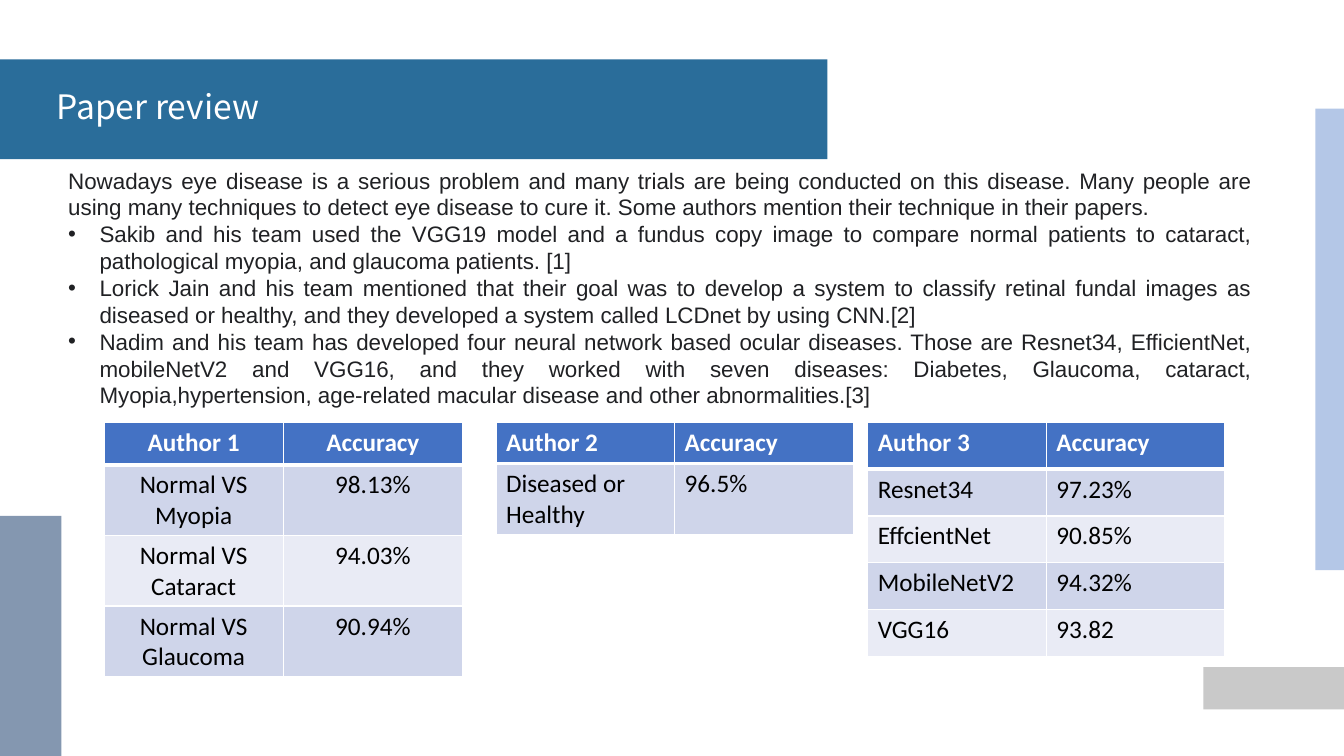
from dataclasses import dataclass

from lxml.etree import SubElement
from pptx import Presentation
from pptx.dml.color import RGBColor
from pptx.enum.shapes import MSO_SHAPE as Shape
from pptx.enum.text import MSO_ANCHOR as Anchor, PP_ALIGN as Align
from pptx.oxml.ns import qn
from pptx.util import Cm, Pt


@dataclass(frozen=True)
class Theme:
    banner: str = "2A6D9A"
    grey: str = "C9C9C9"
    light_blue: str = "B4C7E7"
    slate: str = "8497B0"
    white: str = "FFFFFF"
    black: str = "000000"
    ink: str = "202124"
    header: str = "4472C4"
    bands: tuple = ("CFD5EA", "E9EBF5")
    title_font: str = "Noto Sans CJK JP"
    body_font: str = "Arial"
    table_font: str = "Calibri"
    title_size: int = 24
    body_size: int = 16
    table_size: int = 18


def write(para, text, *, font, size, color, bold=False, align=Align.LEFT):
    para.alignment = align
    span = para.add_run()
    span.text = text
    span.font.name = font
    span.font.size = Pt(size)
    span.font.bold = bold
    span.font.color.rgb = RGBColor.from_string(color)


def add_bullet(para, indent):
    properties = para._p.get_or_add_pPr()
    properties.set("marL", str(Cm(indent)))
    properties.set("indent", str(-Cm(indent)))
    SubElement(properties, qn("a:buFont"), typeface="Arial")
    SubElement(properties, qn("a:buChar"), char="•")


def add_borders(cell, color, **widths):
    properties = cell._tc.get_or_add_tcPr()
    for side in "LRTB":
        line = SubElement(properties, qn(f"a:ln{side}"), w=str(Pt(widths.get(side, 1))))
        fill = SubElement(line, qn("a:solidFill"))
        SubElement(fill, qn("a:srgbClr"), val=color)


class SlideBuilder:
    def __init__(self, deck, theme):
        self.theme = theme
        self.page = deck.slides.add_slide(deck.slide_layouts[5])

    def block(self, left, top, width, height, color):
        box = self.page.shapes.add_shape(
            Shape.RECTANGLE, Cm(left), Cm(top), Cm(width), Cm(height))
        box.shadow.inherit = False
        box.fill.solid()
        box.fill.fore_color.rgb = RGBColor.from_string(color)
        box.line.fill.background()

    def title(self, text, left, top, width, height):
        box = self.page.shapes.title
        box.left, box.top, box.width, box.height = map(Cm, (left, top, width, height))
        tree = self.page.shapes._spTree
        tree.remove(box._element)
        tree.append(box._element)
        frame = box.text_frame
        frame.word_wrap = True
        frame.vertical_anchor = Anchor.TOP
        theme = self.theme
        write(frame.paragraphs[0], text, font=theme.title_font,
              size=theme.title_size, color=theme.white)

    def body(self, intro, points, left, top, width, height, inset):
        box = self.page.shapes.add_textbox(Cm(left), Cm(top), Cm(width), Cm(height))
        frame = box.text_frame
        frame.word_wrap = True
        frame.margin_top = Cm(inset)
        theme = self.theme
        style = dict(font=theme.body_font, size=theme.body_size,
                     color=theme.ink, align=Align.JUSTIFY)
        write(frame.paragraphs[0], intro, **style)
        for point in points:
            para = frame.add_paragraph()
            write(para, point, **style)
            add_bullet(para, 0.79)

    def table(self, rows, left, top, column_width, header_height, row_height,
              align=Align.LEFT):
        heights = [header_height] + [row_height] * (len(rows) - 1)
        columns = len(rows[0])
        grid = self.page.shapes.add_table(
            len(rows), columns, Cm(left), Cm(top),
            Cm(column_width * columns), Cm(sum(heights))).table
        theme = self.theme
        for column in grid.columns:
            column.width = Cm(column_width)
        for row_index, values in enumerate(rows):
            grid.rows[row_index].height = Cm(heights[row_index])
            is_header = row_index == 0
            fill = theme.header if is_header else theme.bands[(row_index - 1) % 2]
            for column_index, value in enumerate(values):
                cell = grid.cell(row_index, column_index)
                add_borders(cell, theme.white, B=3 if is_header else 1,
                            T=3 if row_index == 1 else 1)
                cell.fill.solid()
                cell.fill.fore_color.rgb = RGBColor.from_string(fill)
                write(cell.text_frame.paragraphs[0], value, font=theme.table_font,
                      size=theme.table_size, bold=is_header, align=align,
                      color=theme.white if is_header else theme.black)


INTRO = (
    "Nowadays eye disease is a serious problem and many trials are being conducted "
    "on this disease. Many people are using many techniques to detect eye disease "
    "to cure it. Some authors mention their technique in their papers."
)
POINTS = [
    "Sakib and his team used the VGG19 model and a fundus copy image to compare "
    "normal patients to cataract, pathological myopia, and glaucoma patients. [1]",
    "Lorick Jain and his team mentioned that their goal was to develop a system to "
    "classify retinal fundal images as diseased or healthy, and they developed a "
    "system called LCDnet by using CNN.[2]",
    "Nadim and his team has developed four neural network based ocular diseases. "
    "Those are Resnet34, EfficientNet, mobileNetV2 and VGG16, and they worked with "
    "seven diseases: Diabetes, Glaucoma, cataract, Myopia,hypertension, age-related "
    "macular disease and other abnormalities.[3]",
]
FIRST_AUTHOR = [
    ("Author 1", "Accuracy"),
    ("Normal VS Myopia", "98.13%"),
    ("Normal VS Cataract", "94.03%"),
    ("Normal VS Glaucoma", "90.94%"),
]
SECOND_AUTHOR = [("Author 2", "Accuracy"), ("Diseased or Healthy", "96.5%")]
THIRD_AUTHOR = [
    ("Author 3", "Accuracy"),
    ("Resnet34", "97.23%"),
    ("EffcientNet", "90.85%"),
    ("MobileNetV2", "94.32%"),
    ("VGG16", "93.82"),
]
TABLE_TOP = 10.64


def main():
    deck = Presentation()
    deck.slide_width, deck.slide_height = Cm(33.87), Cm(19.05)
    theme = Theme()
    slide = SlideBuilder(deck, theme)
    slide.block(0, 1.5, 20.85, 2.51, theme.banner)
    slide.block(30.33, 16.81, 3.54, 1.07, theme.grey)
    slide.block(33.15, 2.74, 0.72, 11.63, theme.light_blue)
    slide.block(0, 13, 1.55, 6.05, theme.slate)
    slide.title("Paper review", 1.17, 2.03, 15.09, 3.58)
    slide.body(INTRO, POINTS, 1.47, 3.3, 30.33, 7.26, inset=0.9)
    slide.table(FIRST_AUTHOR, 2.62, TABLE_TOP, 4.52, 1.07, 1.78, align=Align.CENTER)
    slide.table(SECOND_AUTHOR, 12.5, TABLE_TOP, 4.5, 1.04, 1.78)
    slide.table(THIRD_AUTHOR, 21.87, TABLE_TOP, 4.5, 1.18, 1.18)
    deck.save("out.pptx")


if __name__ == "__main__":
    main()
